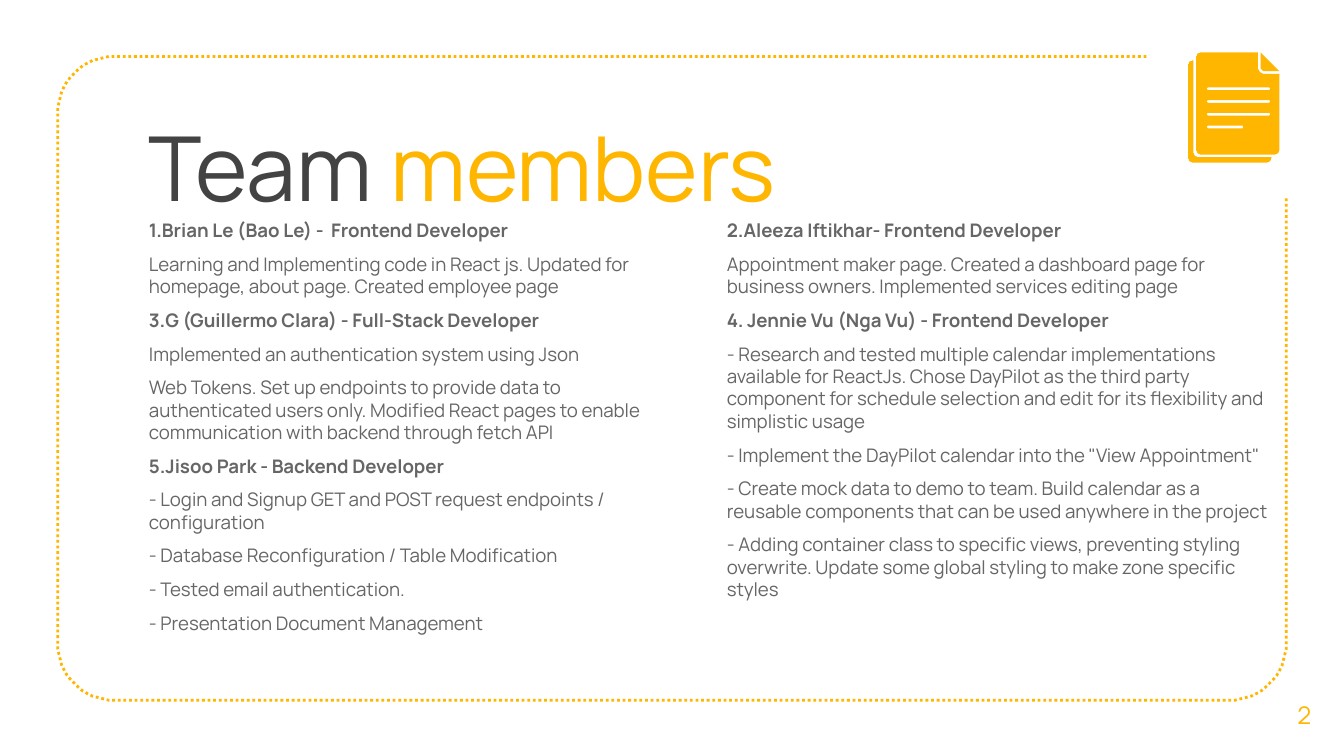
from dataclasses import dataclass
from math import cos, radians, sin

from pptx import Presentation
from pptx.dml.color import RGBColor
from pptx.enum.dml import MSO_LINE_DASH_STYLE as Dash
from pptx.enum.text import MSO_ANCHOR as Anchor, PP_ALIGN as Align
from pptx.shapes.autoshape import Shape
from pptx.slide import Slide
from pptx.text.text import _Paragraph as Paragraph
from pptx.util import Pt

PX = 4572
AMBER = RGBColor(0xFF, 0xB6, 0x00)
CHARCOAL = RGBColor(0x43, 0x43, 0x43)
GREY = RGBColor(0x66, 0x66, 0x66)
FONT = "Manrope"
INSET = 20

Point = tuple[float, float]


@dataclass(frozen=True)
class Box:
    left: int
    top: int
    width: int
    height: int


@dataclass(frozen=True)
class Member:
    heading: str
    duties: tuple[str, ...]


@dataclass(frozen=True)
class Column:
    box: Box
    members: tuple[Member, ...]


COLUMNS = (
    Column(Box(1062, 306, 858, 770), (
        Member("2.Aleeza Iftikhar- Frontend Developer", (
            "Appointment maker page. Created a dashboard page for business owners. "
            "Implemented services editing page",
        )),
        Member("4. Jennie Vu (Nga Vu) - Frontend Developer", (
            "- Research and tested multiple calendar implementations available for ReactJs. "
            "Chose DayPilot as the third party component for schedule selection and edit "
            "for its flexibility and simplistic usage",
            '- Implement the DayPilot calendar into the "View Appointment"',
            "- Create mock data to demo to team. Build calendar as a reusable components "
            "that can be used anywhere in the project",
            "- Adding container class to specific views, preventing styling overwrite. "
            "Update some global styling to make zone specific styles",
        )),
    )),
    Column(Box(202, 306, 776, 748), (
        Member("1.Brian Le (Bao Le) -  Frontend Developer", (
            "Learning and Implementing code in React js. Updated for homepage, about page. "
            "Created employee page",
        )),
        Member("3.G (Guillermo Clara) - Full-Stack Developer", (
            "Implemented an authentication system using Json",
            "Web Tokens. Set up endpoints to provide data to authenticated users only. "
            "Modified React pages to enable communication with backend through fetch API",
        )),
        Member("5.Jisoo Park - Backend Developer", (
            "- Login and Signup GET and POST request endpoints / configuration",
            "- Database Reconfiguration / Table Modification",
            "- Tested email authentication.",
            "- Presentation Document Management",
        )),
    )),
)


def arc(x: int, y: int, radius: int, start: int, end: int, steps: int = 8) -> list[Point]:
    angles = [radians(start + (end - start) * i / steps) for i in range(steps + 1)]
    return [(x + radius * cos(a), y + radius * sin(a)) for a in angles]


def bar(left: int, right: int, middle: int, radius: int = 2) -> list[Point]:
    return arc(left + radius, middle, radius, 90, 270) + arc(right - radius, middle, radius, 270, 450)


def draw_outline(slide: Slide, paths: list[list[Point]], closed: bool = True) -> Shape:
    first, *others = paths
    builder = slide.shapes.build_freeform(*first[0], scale=PX)
    builder.add_line_segments(first[1:], close=closed)
    for path in others:
        builder.move_to(*path[0])
        builder.add_line_segments(path[1:], close=closed)
    outline = builder.convert_to_shape()
    outline.shadow.inherit = False
    return outline


def draw_frame(slide: Slide) -> None:
    left, top, right, bottom, radius = 86, 84, 1914, 1042, 84
    route = [
        (1706, top),
        *arc(left + radius, top + radius, radius, 270, 180, 16),
        *arc(left + radius, bottom - radius, radius, 180, 90, 16),
        *arc(right - radius, bottom - radius, radius, 90, 0, 16),
        (right, 292),
    ]
    frame = draw_outline(slide, [route], closed=False)
    frame.fill.background()
    frame.line.color.rgb = AMBER
    frame.line.width = Pt(1.5)
    frame.line.dash_style = Dash.ROUND_DOT


def draw_documents(slide: Slide) -> None:
    back_sheet = [
        *arc(1776, 98, 8, 270, 180),
        *arc(1776, 234, 8, 180, 90),
        *arc(1884, 234, 8, 90, 0),
        *arc(1784, 226, 8, 90, 180),
    ]
    front_sheet = [
        *arc(1788, 86, 8, 270, 180),
        *arc(1788, 222, 8, 180, 90),
        *arc(1896, 222, 8, 90, 0),
        (1904, 110),
        *arc(1882, 100, 10, 90, 180),
        (1872, 78),
    ]
    text_lines = [bar(1796, right, 132 + 19 * row) for row, right in enumerate((1890, 1890, 1890, 1850))]
    fold = [(1876, 78), *arc(1882, 100, 6, 180, 90), (1904, 106)]
    for paths in ([back_sheet], [front_sheet, *text_lines], [fold]):
        sheet = draw_outline(slide, paths)
        sheet.fill.solid()
        sheet.fill.fore_color.rgb = AMBER
        sheet.line.fill.background()


def add_text_area(slide: Slide, box: Box) -> Shape:
    area = slide.shapes.add_textbox(box.left * PX, box.top * PX, box.width * PX, box.height * PX)
    frame = area.text_frame
    frame.word_wrap = True
    frame.margin_left = frame.margin_right = frame.margin_top = frame.margin_bottom = INSET * PX
    return area


def style_runs(paragraph: Paragraph, size: int, color: RGBColor, bold: bool = False) -> None:
    for run in paragraph.runs:
        run.font.name = FONT
        run.font.size = Pt(size)
        run.font.bold = bold
        run.font.color.rgb = color


def draw_title(slide: Slide) -> None:
    title = add_text_area(slide, Box(202, 146, 1502, 188)).text_frame.paragraphs[0]
    for word in ("Team ", "members"):
        title.add_run().text = word
    style_runs(title, 48, CHARCOAL)
    title.runs[1].font.color.rgb = AMBER


def draw_column(slide: Slide, column: Column) -> None:
    lines = [
        (text, text == member.heading)
        for member in column.members
        for text in (member.heading, *member.duties)
    ]
    frame = add_text_area(slide, column.box).text_frame
    frame.text = "\n".join(text for text, _ in lines)
    for paragraph, (_, is_heading) in zip(frame.paragraphs, lines):
        paragraph.space_before = Pt(6)
        style_runs(paragraph, 10, GREY, is_heading)


def draw_page_number(slide: Slide) -> None:
    frame = add_text_area(slide, Box(1882, 1004, 118, 120)).text_frame
    frame.text = "2"
    frame.vertical_anchor = Anchor.MIDDLE
    frame.paragraphs[0].alignment = Align.CENTER
    style_runs(frame.paragraphs[0], 13, AMBER)


def main() -> None:
    deck = Presentation()
    deck.slide_width, deck.slide_height = 2000 * PX, 1125 * PX
    slide = deck.slides.add_slide(deck.slide_layouts[6])
    draw_frame(slide)
    draw_title(slide)
    for column in COLUMNS:
        draw_column(slide, column)
    draw_page_number(slide)
    draw_documents(slide)
    deck.save("out.pptx")


if __name__ == "__main__":
    main()
